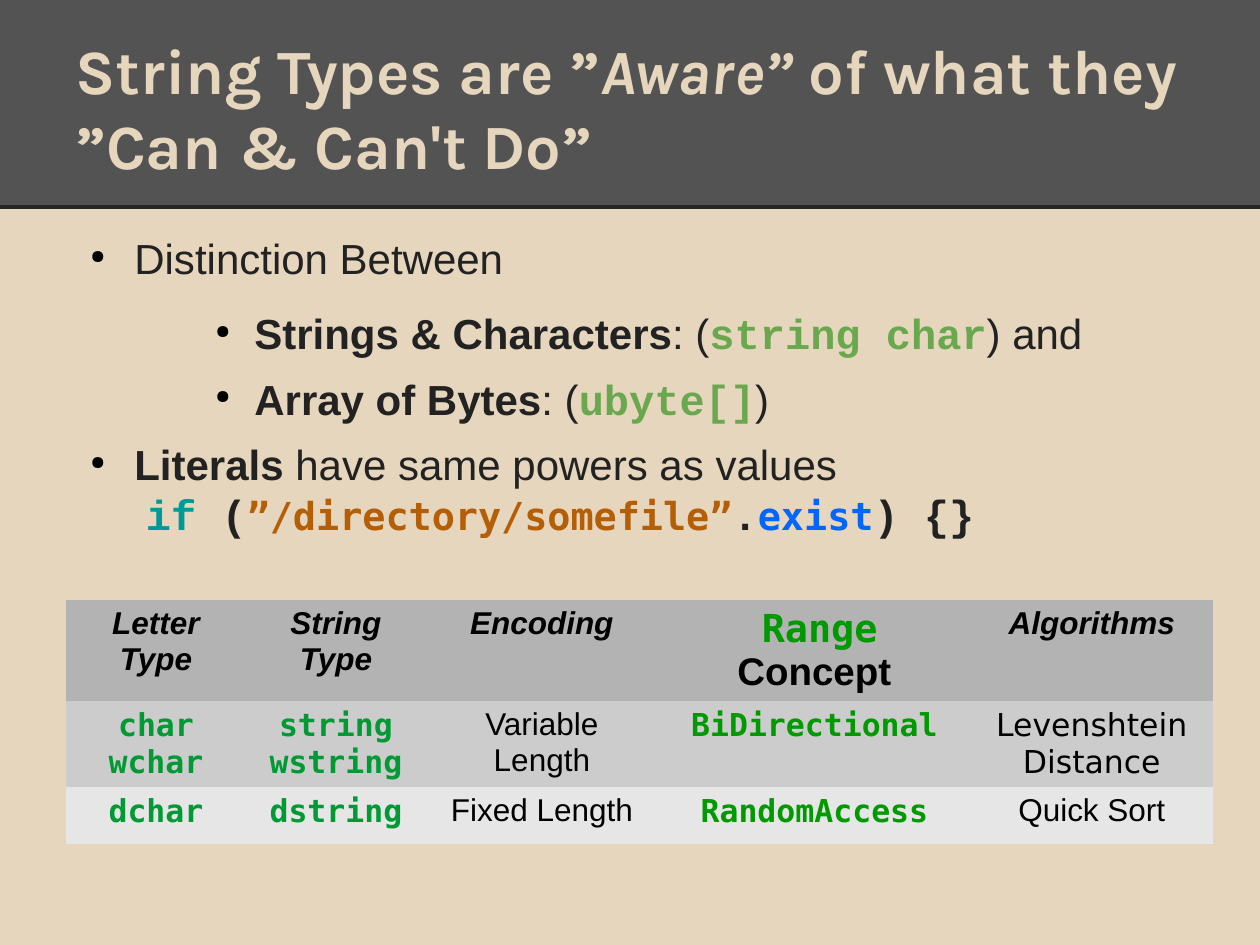
from dataclasses import dataclass

from lxml import etree
from pptx import Presentation
from pptx import util as u
from pptx.dml.color import RGBColor
from pptx.enum import shapes, text
from pptx.oxml import ns

PX = 914400 / 126  # EMU in one px


@dataclass(frozen=True)
class Theme:
    sand: str = "E6D6BD"
    band: str = "535353"
    rule: str = "262626"
    ink: str = "222222"
    black: str = "000000"
    leaf: str = "6AA84F"
    teal: str = "009999"
    rust: str = "B45F06"
    blue: str = "0066FF"
    green: str = "009900"
    type_green: str = "009933"
    rows: tuple = ("B3B3B3", "CCCCCC", "E6E6E6")
    title_size: int = 36
    body_size: int = 24
    code_size: int = 22
    cell_size: int = 18
    heading: str = "Karla"
    sans: str = "Arial"
    code: str = "Courier New"
    mono: str = "DejaVu Sans Mono"
    wide: str = "DejaVu Sans"


THEME = Theme()


def px(*lengths):
    return [u.Emu(round(length * PX)) for length in lengths]


def color(value):
    return RGBColor.from_string(value)


def set_all(target, values):
    for name, value in values.items():
        setattr(target, name, value)


class SlideBuilder:
    def __init__(self, deck, theme):
        self.theme = theme
        self.page = deck.slides.add_slide(deck.slide_layouts[5])
        fill = self.page.background.fill
        fill.solid()
        fill.fore_color.rgb = color(theme.sand)

    def add_spans(self, para, spans, base):
        """Each span is (words, changes to the base format)."""
        for words, changes in spans:
            style = {**base, **changes}
            for index, line in enumerate(words.split("\n")):
                if index:
                    para.add_line_break()
                span = para.add_run()
                span.text = line
                set_all(span.font, {
                    "name": style["name"], "size": u.Pt(style["size"]),
                    "bold": style.get("bold", False),
                    "italic": style.get("italic", False)})
                span.font.color.rgb = color(style["color"])

    def frame(self, shape, anchor):
        margin, = px(12.6)
        set_all(shape.text_frame, {
            "word_wrap": True, "auto_size": text.MSO_AUTO_SIZE.NONE,
            "vertical_anchor": anchor, "margin_left": margin,
            "margin_right": margin, "margin_top": margin,
            "margin_bottom": margin})
        return shape.text_frame

    def band(self, *place):
        shape = self.page.shapes.add_shape(
            shapes.MSO_SHAPE.RECTANGLE, *px(*place))
        shape.shadow.inherit = False
        shape.fill.solid()
        shape.fill.fore_color.rgb = color(self.theme.band)
        shape.line.fill.background()
        # Keep the title in front of its band
        tree = self.page.shapes.title._element
        tree.addprevious(shape._element)

    def rule(self, *ends):
        line = self.page.shapes.add_connector(
            shapes.MSO_CONNECTOR.STRAIGHT, *px(*ends))
        line.line.color.rgb = color(self.theme.rule)
        line.line.width = u.Pt(2.25)
        etree.SubElement(line._element.spPr, ns.qn("a:effectLst"))

    def title(self, place, spans):
        box = self.page.shapes.title
        set_all(box, dict(zip(("left", "top", "width", "height"), px(*place))))
        para = self.frame(box, text.MSO_ANCHOR.BOTTOM).paragraphs[0]
        para.alignment = text.PP_ALIGN.LEFT
        self.add_spans(para, spans, {
            "name": self.theme.heading, "size": self.theme.title_size,
            "color": self.theme.sand, "bold": True})

    def bullet(self, para, level):
        margin, indent, after = ((59, -44, 14.2), (179, -39, 8.5))[level]
        set_all(para, {"level": level, "space_after": u.Pt(after)})
        props = para._p.get_or_add_pPr()
        for name, length in zip(("marL", "indent"), px(margin, indent)):
            props.set(name, str(length))
        tint = etree.SubElement(props, ns.qn("a:buClr"))
        etree.SubElement(tint, ns.qn("a:srgbClr"), val=self.theme.black)
        etree.SubElement(props, ns.qn("a:buSzPct"), val="45000")
        etree.SubElement(props, ns.qn("a:buChar"), char="●")

    def bullets(self, place, items):
        box = self.page.shapes.add_textbox(*px(*place))
        frame = self.frame(box, text.MSO_ANCHOR.TOP)
        base = {"name": self.theme.sans, "size": self.theme.body_size,
                "color": self.theme.ink}
        for index, (level, spans) in enumerate(items):
            para = frame.add_paragraph() if index else frame.paragraphs[0]
            self.bullet(para, level)
            self.add_spans(para, spans, base)

    def table(self, left, top, widths, heights, rows):
        table = self.page.shapes.add_table(
            len(rows), len(widths),
            *px(left, top, sum(widths), sum(heights))).table
        set_all(table, {"first_row": False, "horz_banding": False})
        # "No style, no grid"
        style = table._tbl.tblPr.find(ns.qn("a:tableStyleId"))
        style.text = "{2D5ABB26-0587-4C30-8999-92F81FD0307C}"
        for column, width in zip(table.columns, px(*widths)):
            column.width = width
        for row, height in zip(table.rows, px(*heights)):
            row.height = height
        base = {"name": self.theme.sans, "size": self.theme.cell_size,
                "color": self.theme.black}
        for y, row in enumerate(rows):
            for x, spans in enumerate(row):
                cell = table.cell(y, x)
                cell.fill.solid()
                cell.fill.fore_color.rgb = color(self.theme.rows[y])
                para = cell.text_frame.paragraphs[0]
                para.alignment = text.PP_ALIGN.CENTER
                self.add_spans(para, spans, base)


def main():
    deck = Presentation()
    deck.slide_width, deck.slide_height = px(1260, 945)
    slide = SlideBuilder(deck, THEME)

    # Title band
    slide.band(0, 0, 1260, 207)
    slide.rule(0, 207, 1260, 207)
    slide.title((63, 38, 1134, 157), [
        ("String Types are ”", {}), ("Aware”", {"italic": True}),
        (" of what they ”Can & Can't Do”", {})])

    # Bullets with code
    bold = {"bold": True}
    code = {"name": THEME.code, "bold": True}
    leaf = {**code, "color": THEME.leaf}
    mono = {"name": THEME.mono, "size": THEME.code_size, "bold": True}
    slide.bullets((63, 220, 1134, 684), [
        (0, [("Distinction Between", {})]),
        (1, [("Strings & Characters", bold), (": (", {}),
             ("string char", leaf), (") and", {})]),
        (1, [("Array of Bytes", bold), (": (", {}),
             ("ubyte[]", leaf), (")", {})]),
        (0, [("Literals", bold), (" have same powers as values\n ", {}),
             ("if", {**code, "color": THEME.teal}), (" (", code),
             ("”/directory/somefile”", {**mono, "color": THEME.rust}),
             (".", code), ("exist", {**mono, "color": THEME.blue}),
             (") {}", code)])])

    # Table of string types
    head = {"bold": True, "italic": True}
    kind = {"name": THEME.mono, "color": THEME.type_green, "bold": True}
    concept = {**kind, "color": THEME.green}
    large = {"size": THEME.code_size, "bold": True}
    slide.table(66, 600, (180, 180, 232, 313, 242), (101, 86, 57), [
        [[("Letter Type", head)], [("String Type", head)],
         [("Encoding", head)],
         [(" ", large), ("Range ", {**concept, **large}),
          ("Concept", large)],
         [("Algorithms", head)]],
        [[("char\nwchar", kind)], [("string\nwstring", kind)],
         [("Variable Length", {})], [("BiDirectional", concept)],
         [("Levenshtein\nDistance", {"name": THEME.wide})]],
        [[("dchar", kind)], [("dstring", kind)], [("Fixed Length", {})],
         [("RandomAccess", concept)], [("Quick Sort", {})]]])

    deck.save("out.pptx")


if __name__ == "__main__":
    main()
